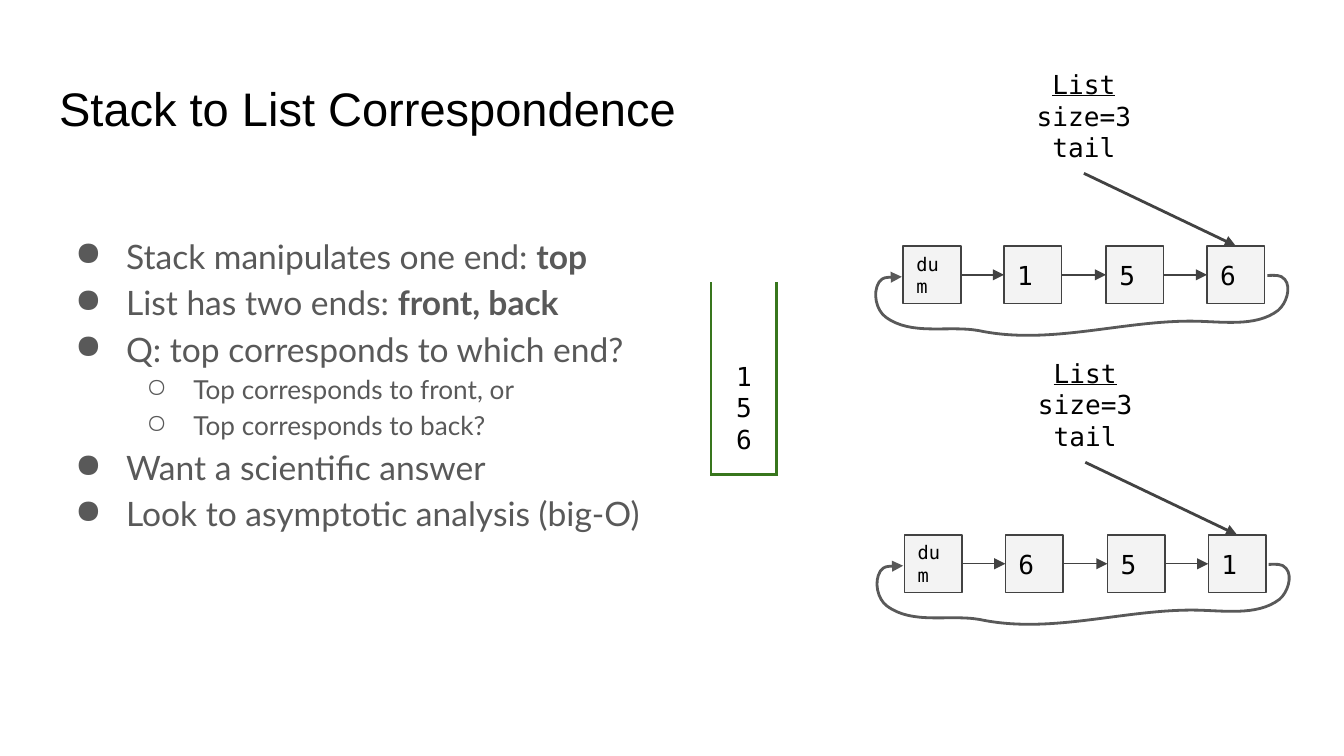
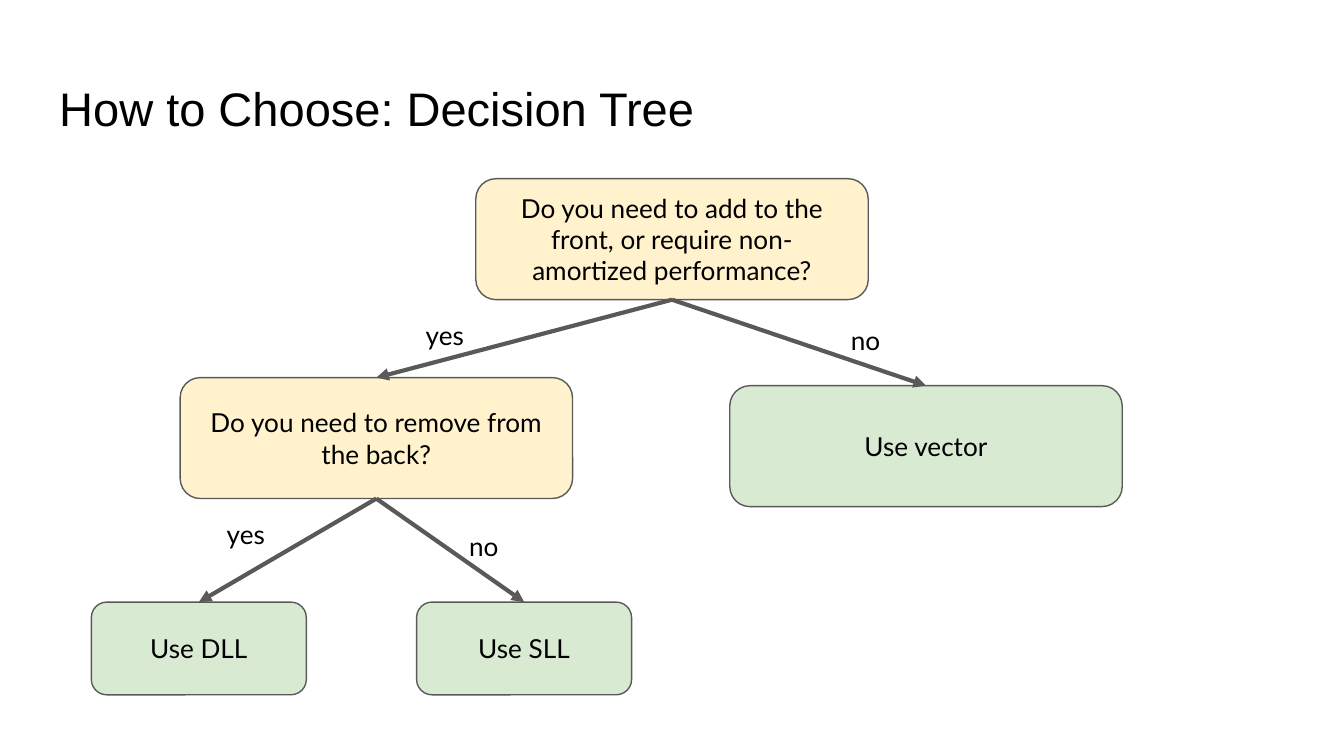
from pptx import Presentation
from pptx.dml.color import RGBColor
from pptx.enum.shapes import MSO_CONNECTOR as Conn, MSO_SHAPE as Shape
from pptx.enum.text import MSO_ANCHOR as Anchor, MSO_AUTO_SIZE as Auto, PP_ALIGN as Align
from pptx.oxml.ns import qn
from pptx.util import Pt
from lxml.etree import SubElement as Sub

PX = 9144
PAD = 10
BLACK, GRAY, DARK = "000000", "595959", "424242"
GREEN, PALE, MINT, CREAM = "38761D", "F3F3F3", "D9EAD3", "FFF2CC"
SANS, MONO, HEAD = "Lato", "DejaVu Sans Mono", "Arial"
TOP, LEFT, BASE, RIGHT = range(4)

BULLETS = [
    (0, "Stack manipulates one end: ", "top"),
    (0, "List has two ends: ", "front, back"),
    (0, "Q: top corresponds to which end?", ""),
    (1, "Top corresponds to front, or", ""),
    (1, "Top corresponds to back?", ""),
    (0, "Want a scientific answer", ""),
    (0, "Look to asymptotic analysis (big-O)", ""),
]
LEVELS = [("●", 18, 50, 38), ("○", 14, 100, 35)]

STACK = ["1", "5", "6"]
WALLS = [(529, 210, 529, 352), (578, 210, 578, 352), (579, 353, 528, 353)]
LISTS = [(672, 183, ["dum", "1", "5", "6"]), (673, 398, ["dum", "6", "5", "1"])]
CELL, PITCH = 43, 75.4
LOOP = [
    (271, 22), (276, 22), (281, 21), (284, 25), (289, 31), (285, 43), (279, 48),
    (262, 61), (236, 56), (214, 56), (161, 56), (108, 74), (56, 63),
    (33, 59), (6, 67), (-13, 53), (-20, 48), (-23, 35), (-18, 27),
    (-15, 23), (-7, 23), (-1, 23),
]

NODES = {
    "add": ("Do you need to add to the front, or require non-amortized performance?",
            354, 133, 292, 90, CREAM),
    "remove": ("Do you need to remove from the back?", 134, 281, 292, 90, CREAM),
    "vector": ("Use vector", 543, 287, 292, 90, MINT),
    "dll": ("Use DLL", 68, 448, 160, 69, MINT),
    "sll": ("Use SLL", 310, 448, 160, 69, MINT),
}
EDGES = [
    ("add", "remove", "yes", 301, 228),
    ("add", "vector", "no", 614, 231),
    ("remove", "dll", "yes", 153, 376),
    ("remove", "sll", "no", 330, 385),
]


def rgb(code):
    return RGBColor.from_string(code)


def emu(*nums):
    return [round(n * PX) for n in nums]


def style(font, size, name=SANS, color=BLACK):
    font.size, font.name = Pt(size), name
    font.color.rgb = rgb(color)


def setup(frame, anchor=Anchor.TOP):
    frame.word_wrap, frame.auto_size = True, Auto.NONE
    frame.vertical_anchor = anchor
    frame.margin_left = frame.margin_right = PAD * PX
    frame.margin_top = frame.margin_bottom = PAD * PX


def write(frame, lines, size, name=SANS, align=Align.CENTER, anchor=Anchor.TOP):
    setup(frame, anchor)
    frame.text = "\n".join(lines)
    for para in frame.paragraphs:
        para.alignment = align
        style(para.font, size, name)


def label(slide, area, lines, **look):
    box = slide.shapes.add_textbox(*emu(*area))
    write(box.text_frame, lines, 14, **look)
    return box


def block(slide, kind, area, fill, edge):
    shape = slide.shapes.add_shape(kind, *emu(*area))
    shape.shadow.inherit = False
    shape.fill.solid()
    shape.fill.fore_color.rgb = rgb(fill)
    stroke(shape, edge, 0.75)
    return shape


def stroke(shape, color, width, arrow=False):
    shape.line.color.rgb = rgb(color)
    shape.line.width = Pt(width)
    if arrow:
        Sub(shape.line._get_or_add_ln(), qn("a:tailEnd"), type="triangle")


def line(slide, ends, color, width, arrow=False):
    wire = slide.shapes.add_connector(Conn.STRAIGHT, *emu(*ends))
    stroke(wire, color, width, arrow)
    Sub(wire._element.spPr, qn("a:effectLst"))
    return wire


def link(slide, start, out, end, into, color, width):
    wire = line(slide, (0, 0, 0, 0), color, width, True)
    wire.begin_connect(start, out)
    wire.end_connect(end, into)


def curve(slide, x, y):
    first, *rest = [(x + dx, y + dy) for dx, dy in LOOP]
    form = slide.shapes.build_freeform(*first, scale=PX)
    form.add_line_segments(rest, close=False)
    shape = form.convert_to_shape()
    shape.shadow.inherit = False
    shape.fill.background()
    stroke(shape, GRAY, 1.5, True)
    track = shape._element.spPr.find(".//" + qn("a:path"))
    steps = track.findall(qn("a:lnTo"))
    for i in range(0, len(steps), 3):
        bend = Sub(track, qn("a:cubicBezTo"))
        for step in steps[i:i + 3]:
            bend.append(step[0])
            track.remove(step)


def begin(deck, text):
    slide = deck.slides.add_slide(deck.slide_layouts[5])
    title = slide.shapes.title
    title.left, title.top, title.width, title.height = emu(34, 49, 932, 63)
    write(title.text_frame, [text], 25.2, HEAD, Align.LEFT)
    return slide


def points(slide):
    frame = slide.shapes.add_textbox(*emu(34, 161, 466, 339)).text_frame
    setup(frame)
    for i, (level, plain, bold) in enumerate(BULLETS):
        mark, size, indent, hang = LEVELS[level]
        para = frame.paragraphs[0] if i == 0 else frame.add_paragraph()
        para.level, para.line_spacing = level, 1.15
        props = para._p.get_or_add_pPr()
        props.set("marL", str(indent * PX))
        props.set("indent", str(-hang * PX))
        Sub(Sub(props, qn("a:buClr")), qn("a:srgbClr"), val=GRAY)
        Sub(props, qn("a:buChar"), char=mark)
        style(para.font, size, SANS, GRAY)
        para.add_run().text = plain
        if bold:
            run = para.add_run()
            run.text, run.font.bold = bold, True


def stack(slide):
    for wall in WALLS:
        line(slide, wall, GREEN, 1.5)
    box = label(slide, (529, 210, 49, 142), STACK, name=MONO, anchor=Anchor.BOTTOM)
    box.text_frame.margin_bottom = 14 * PX


def chain(slide, x, y, items):
    cells = []
    for i, item in enumerate(items):
        area = (x + round(i * PITCH), y, CELL, CELL)
        cell = block(slide, Shape.RECTANGLE, area, PALE, DARK)
        size = 14 if len(item) == 1 else 10
        write(cell.text_frame, [item], size, MONO, Align.LEFT, Anchor.MIDDLE)
        cells.append(cell)
    for left, right in zip(cells, cells[1:]):
        link(slide, left, RIGHT, right, LEFT, DARK, 0.75)
    head = label(slide, (x + 84, y - 142, 101, 88), ["List", "size=3", "tail"], name=MONO)
    head.text_frame.paragraphs[0].font.underline = True
    link(slide, head, BASE, cells[-1], TOP, DARK, 1.5)
    curve(slide, x, y)


def tree(slide):
    nodes = {}
    for key, (text, *area, fill) in NODES.items():
        node = block(slide, Shape.ROUNDED_RECTANGLE, area, fill, GRAY)
        write(node.text_frame, [text], 14, anchor=Anchor.MIDDLE)
        nodes[key] = node
    for start, end, text, x, y in EDGES:
        link(slide, nodes[start], BASE, nodes[end], TOP, GRAY, 2.25)
        label(slide, (x, y, 60, 48), [text])


def main():
    deck = Presentation()
    deck.slide_width, deck.slide_height = emu(1000, 562.5)
    slide = begin(deck, "Stack to List Correspondence")
    points(slide)
    stack(slide)
    for x, y, items in LISTS:
        chain(slide, x, y, items)
    tree(begin(deck, "How to Choose: Decision Tree"))
    deck.save("out.pptx")


if __name__ == "__main__":
    main()
